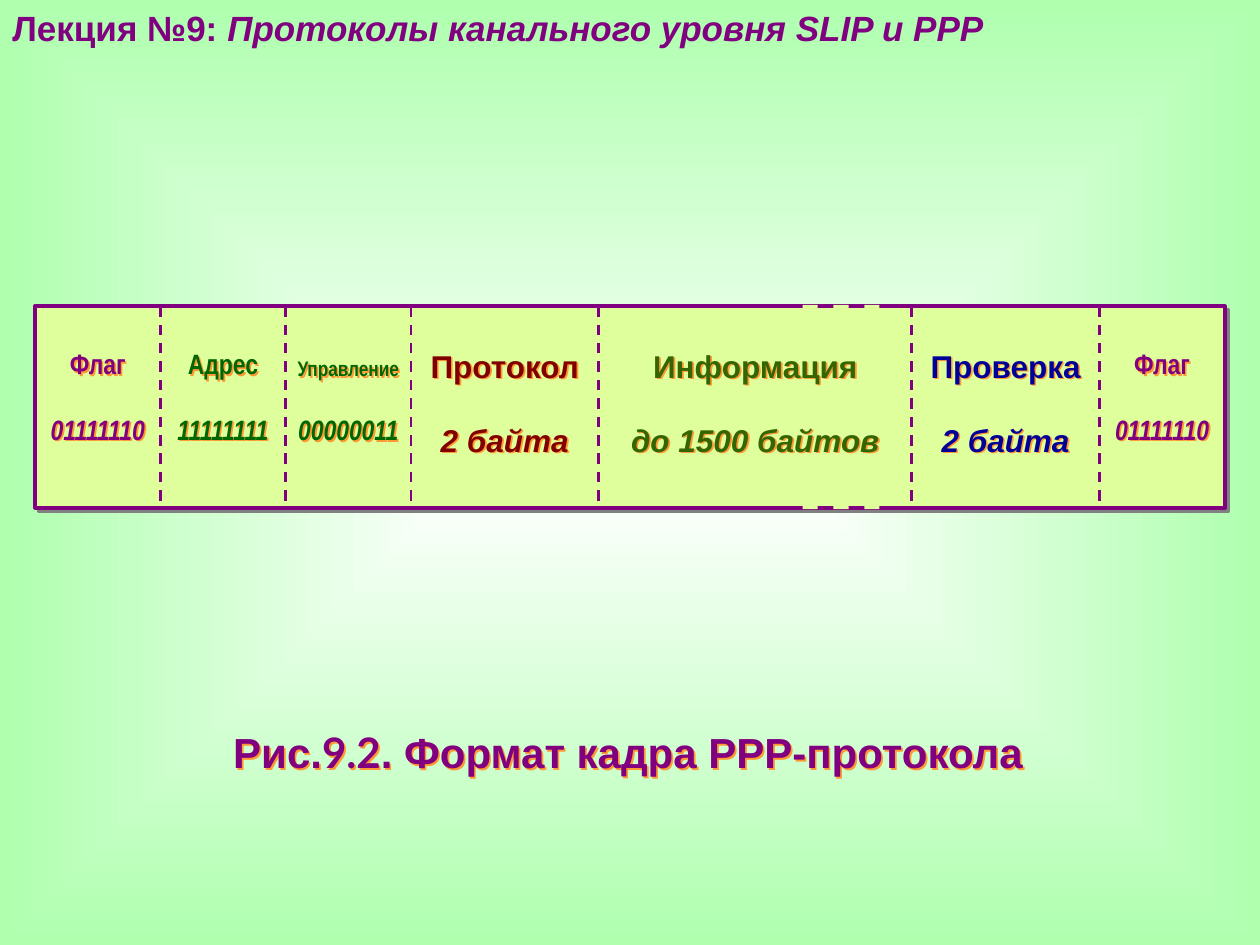
import pptx
import pptx.util
import pptx.dml.color
import pptx.enum.dml
import pptx.enum.shapes
import pptx.enum.text
import pptx.oxml
from pptx.util import Inches

COLORS = {
    "white": "FFFFFF", "mint": "AFFFAF", "lime": "DEFF9B",
    "purple": "800080", "green": "006600", "maroon": "800000",
    "olive": "336600", "navy": "000099", "gray": "808080",
    "orange": "FF9933",
}
NS = 'xmlns:a="http://schemas.openxmlformats.org/drawingml/2006/main"'
LEFT, TOP, WIDTH, HEIGHT = 0.28, 2.43, 9.44, 1.6

# Name, value, width in units, text width, text top, name size, size, font, color
FIELDS = [
    ("Флаг", "01111110", 2, 0.87, 2.75, 16, 16, "Arial Narrow", "purple"),
    ("Адрес", "11111111", 2, 0.87, 2.75, 16, 16, "Arial Narrow", "green"),
    ("Управление", "00000011", 2, 1.05, 2.82, 12, 16, "Arial Narrow", "green"),
    ("Протокол", "2 байта", 3, 1.24, 2.75, 18, 18, "Arial", "maroon"),
    ("Информация", "до 1500 байтов", 5, 1.99, 2.75, 18, 18, "Arial", "olive"),
    ("Проверка", "2 байта", 3, 1.24, 2.75, 18, 18, "Arial", "navy"),
    ("Флаг", "01111110", 2, 0.87, 2.75, 16, 16, "Arial Narrow", "purple"),
]


def color(name):
    return pptx.dml.color.RGBColor.from_string(COLORS[name])


def set_back(slide):
    slide.background.fill.solid()
    props = slide.background._cSld.bg.bgPr
    props.replace(props[0], pptx.oxml.parse_xml(
        f'<a:gradFill {NS} rotWithShape="0"><a:gsLst>'
        f'<a:gs pos="0"><a:srgbClr val="{COLORS["white"]}"/></a:gs>'
        f'<a:gs pos="100000"><a:srgbClr val="{COLORS["mint"]}"/></a:gs>'
        '</a:gsLst><a:path path="shape"><a:fillToRect l="50000" t="50000" '
        'r="50000" b="50000"/></a:path></a:gradFill>'))


def add_glow(shape, name, dist):
    """Cast a hard shadow down and to the right, dist in points."""
    shape._element.spPr.append(pptx.oxml.parse_xml(
        f'<a:effectLst {NS}><a:outerShdw dist="{int(dist * 12700)}" '
        f'dir="2700000" algn="ctr" rotWithShape="0">'
        f'<a:srgbClr val="{COLORS[name]}"/></a:outerShdw></a:effectLst>'))


def add_rect(slide, x, y, w, h, line=None):
    rect = slide.shapes.add_shape(
        pptx.enum.shapes.MSO_SHAPE.RECTANGLE,
        Inches(x), Inches(y), Inches(w), Inches(h))
    rect.fill.solid()
    rect.fill.fore_color.rgb = color("lime")
    if line:
        rect.line.color.rgb = color(line)
        rect.line.width = pptx.util.Pt(2.25)
        add_glow(rect, "gray", 2.8)
    else:
        rect.line.fill.background()
        rect.shadow.inherit = False


def add_dash(slide, x):
    line = slide.shapes.add_connector(
        pptx.enum.shapes.MSO_CONNECTOR.STRAIGHT,
        Inches(x), Inches(TOP), Inches(x), Inches(TOP + HEIGHT))
    line.line.color.rgb = color("purple")
    line.line.width = pptx.util.Pt(1.5)
    line.line.dash_style = pptx.enum.dml.MSO_LINE.DASH
    line._element.spPr.append(pptx.oxml.parse_xml(f"<a:effectLst {NS}/>"))


def add_box(slide, x, y, w, h, inset=True):
    box = slide.shapes.add_textbox(Inches(x), Inches(y), Inches(w), Inches(h))
    frame = box.text_frame
    frame.word_wrap = True
    if not inset:
        frame.margin_left = frame.margin_right = 0
        frame.margin_top = frame.margin_bottom = 0
    return box


def set_font(font, size, face, tint, italic=None):
    font.size = pptx.util.Pt(size)
    font.name = face
    font.bold = True
    font.italic = italic
    font.color.rgb = color(tint)


def add_runs(para, runs, size, tint):
    """Fill a paragraph with runs of (text, face, italic)."""
    for text, face, italic in runs:
        run = para.add_run()
        run.text = text
        set_font(run.font, size, face, tint, italic)


def add_field(slide, mid, field):
    name, value, _, width, top, head, size, face, tint = field
    box = add_box(slide, mid - width / 2, top, width, 1.12, inset=False)
    frame = box.text_frame
    for text, points, italic in ((name, head, None), (value, size, True)):
        para = frame.add_paragraph() if italic else frame.paragraphs[0]
        para.alignment = pptx.enum.text.PP_ALIGN.CENTER
        run = para.add_run()
        run.text = text
        set_font(para.font, points, face, tint, italic)
    para.space_before = pptx.util.Pt(round(size * 1.15, 1))
    add_glow(box, "orange", 1.4)


def main():
    deck = pptx.Presentation()
    deck.slide_width, deck.slide_height = Inches(10), Inches(7.5)
    slide = deck.slides.add_slide(deck.slide_layouts[6])
    set_back(slide)

    # Lecture title
    title = add_box(slide, 0, 0, 7.97, 0.43)
    add_runs(title.text_frame.paragraphs[0], [
        ("Лекция №9: ", "Arial", None),
        ("Протоколы канального уровня SLIP и PPP", "Arial", True),
    ], 20, "purple")

    # Frame with gaps in its outline
    add_rect(slide, LEFT, TOP, WIDTH, HEIGHT, "purple")
    for i in range(3):
        add_rect(slide, 6.37 + 0.245 * i, TOP - 0.01, 0.12, HEIGHT + 0.02)

    # Fields and the dashed lines between them
    unit = WIDTH / sum(field[2] for field in FIELDS)
    x = LEFT
    for i, field in enumerate(FIELDS):
        if i:
            add_dash(slide, x)
        add_field(slide, x + field[2] * unit / 2, field)
        x += field[2] * unit

    # Caption
    note = add_box(slide, 0.26, 5.72, 9.45, 0.5)
    para = note.text_frame.paragraphs[0]
    para.alignment = pptx.enum.text.PP_ALIGN.CENTER
    add_runs(para, [
        ("Рис.", "Arial", None),
        ("9.2", "Lato", None),
        (". Формат кадра РРР-протокола", "Arial", None),
    ], 24, "purple")
    add_glow(note, "orange", 1.4)

    deck.save("out.pptx")


main()
